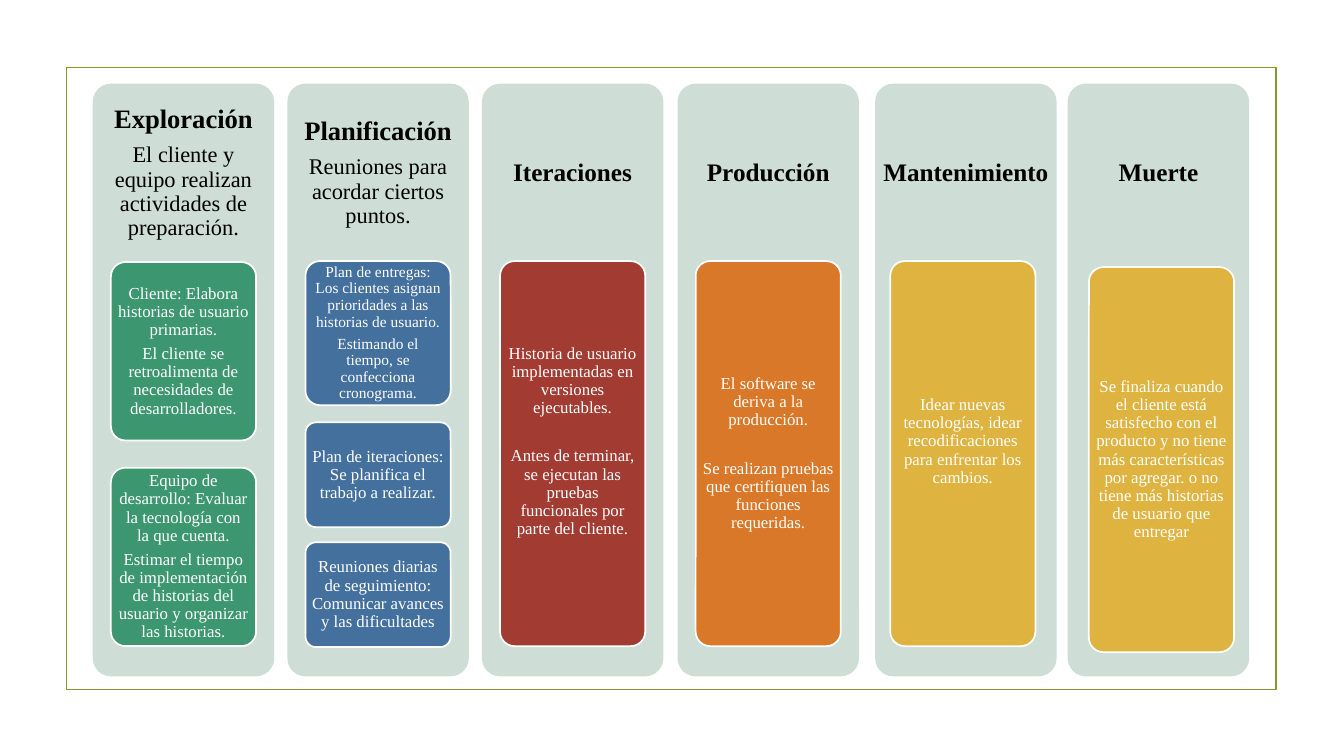
import pptx
import pptx.util
import pptx.dml.color
import pptx.enum.shapes
import pptx.enum.text

Inches, Pt = pptx.util.Inches, pptx.util.Pt
SHAPES = pptx.enum.shapes.MSO_SHAPE
COLORS = {
    "frame": "83992A", "panel": "CEDDD5", "black": "000000", "white": "FFFFFF",
    "green": "3C9770", "blue": "44709D", "red": "A23C33",
    "orange": "D97828", "yellow": "DEB340",
}
PANEL_TOP, PANEL_WIDTH, PANEL_HEIGHT = 0.83, 1.8, 5.88
HEADING_HEIGHT, CARD_WIDTH = 1.77, 1.44
BLANK_LINE = 21.4  # points between paragraphs set one line apart
TAIL = 0.24        # extra inches below text that sits above the middle

# Each phase: left edge, card offset, card color, heading size, title, summary, cards
# Each card: top, height, text size, space after (None = 35%), extra bottom, paragraphs
phases = [
    (0.92, 0.18, "green", 19, "Exploración",
     "El cliente y equipo realizan actividades de preparación.", [
         (2.6, 1.77, 12, None, 0, [
             "Cliente: Elabora historias de usuario primarias.",
             "El cliente se retroalimenta de necesidades de desarrolladores."]),
         (4.64, 1.77, 12, None, 0, [
             "Equipo de desarrollo: Evaluar la tecnología con la que cuenta.",
             "Estimar el tiempo de implementación de historias del usuario "
             "y organizar las historias."])]),
    (2.85, 0.18, "blue", 19, "Planificación",
     "Reuniones para acordar ciertos puntos.", [
         (2.59, 1.43, 11, None, 0, [
             "Plan de entregas: Los clientes asignan prioridades a las "
             "historias de usuario.",
             "Estimando el tiempo, se confecciona cronograma."]),
         (4.19, 1.04, 12, None, 0, [
             "Plan de iteraciones: Se planifica el trabajo a realizar."]),
         (5.38, 1.04, 12, None, 0, [
             "Reuniones diarias de seguimiento: Comunicar avances y las "
             "dificultades"])]),
    (4.78, 0.18, "red", 18, "Iteraciones", None, [
        (2.59, 3.82, 12, BLANK_LINE, TAIL, [
            "Historia de usuario implementadas en versiones ejecutables.",
            "Antes de terminar, se ejecutan las pruebas funcionales por "
            "parte del cliente."])]),
    (6.72, 0.18, "orange", 18, "Producción", None, [
        (2.59, 3.82, 12, BLANK_LINE, 0, [
            "El software se deriva a la producción.",
            "Se realizan pruebas que certifiquen las funciones requeridas."])]),
    (8.68, 0.15, "yellow", 18, "Mantenimiento", None, [
        (2.59, 3.82, 12, None, TAIL, [
            "Idear nuevas tecnologías, idear recodificaciones para enfrentar "
            "los cambios."])]),
    (10.59, 0.21, "yellow", 18, "Muerte", None, [
        (2.65, 3.82, 12, None, 0, [
            "Se finaliza cuando el cliente está satisfecho con el producto y "
            "no tiene más características por agregar. o no tiene más "
            "historias de usuario que entregar"])]),
]

deck = pptx.Presentation()
deck.slide_width, deck.slide_height = Inches(13.33), Inches(7.5)
page = deck.slides.add_slide(deck.slide_layouts[6])


def add_box(kind, left, top, width, height, fill=None, line=None):
    box = page.shapes.add_shape(
        kind, Inches(left), Inches(top), Inches(width), Inches(height))
    box.shadow.inherit = False
    if kind == SHAPES.ROUNDED_RECTANGLE:
        box.adjustments[0] = 0.1
    if fill:
        box.fill.solid()
        box.fill.fore_color.rgb = pptx.dml.color.RGBColor.from_string(COLORS[fill])
    else:
        box.fill.background()
    if line:
        box.line.color.rgb = pptx.dml.color.RGBColor.from_string(COLORS[line])
        box.line.width = Pt(1.25)
    else:
        box.line.fill.background()
    return box


def write(box, lines, color, inset, extra_bottom=0):
    """Fill a box with centred lines of (text, size, bold, space after)."""
    frame = box.text_frame
    frame.word_wrap = True
    frame.vertical_anchor = pptx.enum.text.MSO_ANCHOR.MIDDLE
    frame.margin_left = frame.margin_right = frame.margin_top = Inches(inset)
    frame.margin_bottom = Inches(inset + extra_bottom)
    frame.text = "\n".join(line[0] for line in lines)
    for para, (_, size, bold, after) in zip(frame.paragraphs, lines):
        para.alignment = pptx.enum.text.PP_ALIGN.CENTER
        para.line_spacing = 0.9
        para.space_after = Pt(after or size * 0.35)
        font = para.runs[0].font
        font.name, font.size, font.bold = "Times New Roman", Pt(size), bold
        font.color.rgb = pptx.dml.color.RGBColor.from_string(COLORS[color])


# Outer frame
add_box(SHAPES.RECTANGLE, 0.66, 0.67, 12, 6.17, line="frame")

# One column per phase: panel, heading and cards
for left, offset, color, heading_size, title, summary, cards in phases:
    add_box(SHAPES.ROUNDED_RECTANGLE, left, PANEL_TOP, PANEL_WIDTH, PANEL_HEIGHT, "panel")
    heading = page.shapes.add_textbox(
        Inches(left), Inches(PANEL_TOP), Inches(PANEL_WIDTH), Inches(HEADING_HEIGHT))
    heading_lines = [(title, heading_size, True, None)]
    if summary:
        heading_lines.append((summary, 16, False, None))
    write(heading, heading_lines, "black", 0.07)

    for top, height, size, after, extra_bottom, texts in cards:
        card = add_box(SHAPES.ROUNDED_RECTANGLE, left + offset, top,
                       CARD_WIDTH, height, color, "white")
        card_lines = [(text, size, False, after) for text in texts]
        # The wide gap belongs between paragraphs, not after the last one
        card_lines[-1] = (texts[-1], size, False, None)
        write(card, card_lines, "white", 0.03, extra_bottom)

deck.save("out.pptx")
